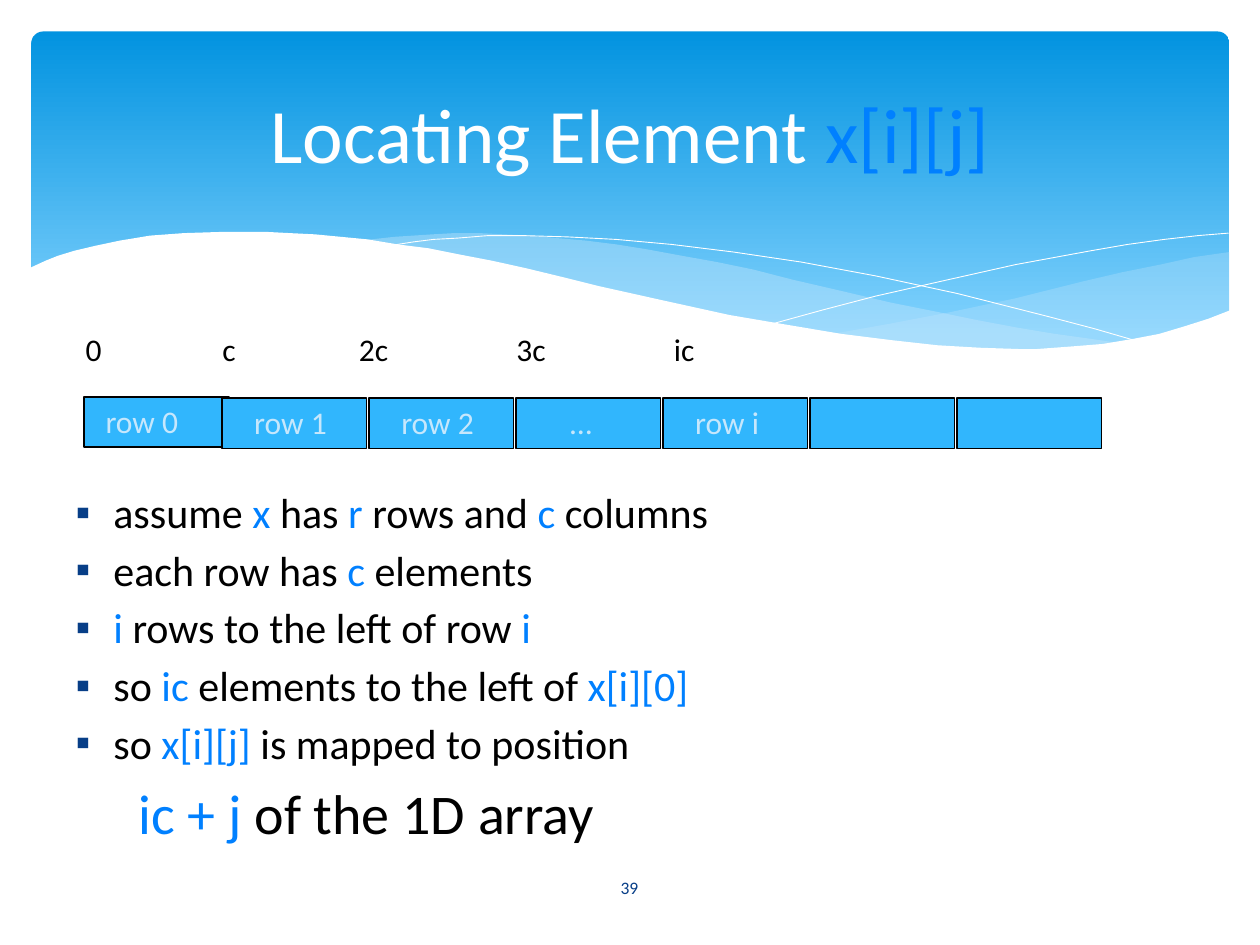
from lxml import etree
from pptx import Presentation
from pptx.dml.color import RGBColor
from pptx.enum.shapes import MSO_SHAPE as SHAPE
from pptx.enum.text import MSO_ANCHOR as ANCHOR, MSO_AUTO_SIZE as AUTO, PP_ALIGN as ALIGN
from pptx.oxml.ns import qn
from pptx.util import Pt

FONT = "Calibri"
BLUE, BLACK, WHITE, PALE, NAVY = "0080FF", "000000", "FFFFFF", "C6E7FC", "073E87"


def color(target, value):
    """Colour a font, line or fill; a fill is made solid first."""
    if hasattr(target, "solid"):
        target.solid()
        target.fore_color.rgb = RGBColor.from_string(value)
    else:
        target.color.rgb = RGBColor.from_string(value)


def add_wave(points, fill=None, alpha=None):
    """Draw points given in hundredths of an inch: filled, or as a thin white line."""
    builder = slide.shapes.build_freeform(*points[0], scale=Pt(0.72))
    builder.add_line_segments(points[1:], close=fill is not None)
    wave = builder.convert_to_shape()
    wave.shadow.inherit = False
    if fill is None:
        wave.fill.background()
        color(wave.line, WHITE)
        wave.line.width = Pt(0.5)
        return
    color(wave.fill, fill)
    wave.line.fill.background()
    if alpha:
        srgb = wave._element.spPr.find(".//" + qn("a:srgbClr"))
        etree.SubElement(srgb, qn("a:alpha"), val=str(alpha * 1000))


prs = Presentation()
prs.slide_width, prs.slide_height = Pt(720), Pt(540)
slide = prs.slides.add_slide(prs.slide_layouts[1])
title, body = slide.placeholders

# Header panel
panel = slide.shapes.add_shape(SHAPE.ROUNDED_RECTANGLE, Pt(18), Pt(18), Pt(684.5), Pt(194.5))
panel.adjustments[0] = 0.034
panel.shadow.inherit = False
panel.line.fill.background()
panel.fill.gradient()
panel.fill.gradient_angle = 270
for stop, position, shade in zip(panel.fill.gradient_stops, (0, 0.9), ("0293E0", "83D3FE")):
    stop.position = position
    color(stop, shade)

# Translucent waves
add_wave([(976, 200), (948, 204), (921, 210), (891, 216), (861, 223), (805, 237), (753, 248),
          (706, 257), (661, 265), (691, 269), (719, 272), (745, 275), (769, 277), (803, 278),
          (835, 277), (863, 275), (889, 272), (913, 267), (935, 262), (949, 257), (963, 252),
          (976, 247)], PALE, 29)
add_wave([(893, 273), (866, 269), (837, 265), (807, 260), (775, 254), (741, 247), (706, 240),
          (668, 231), (629, 222), (598, 214), (569, 208), (541, 203), (514, 198), (489, 194),
          (465, 191), (442, 189), (420, 187), (399, 186), (380, 185), (361, 185), (344, 186),
          (313, 188), (286, 191), (323, 196), (362, 203), (404, 211), (449, 222), (491, 232),
          (530, 240), (566, 248), (601, 255), (634, 261), (665, 266), (695, 270), (722, 274),
          (748, 276), (773, 277), (796, 278), (828, 278), (857, 277), (876, 275)], PALE, 40)

# Thin crossing lines
add_wave([(309, 195), (328, 192), (344, 190), (363, 189), (387, 187), (416, 187), (450, 188),
          (489, 190), (533, 194), (582, 200), (636, 208), (695, 219), (760, 233), (831, 251),
          (869, 261), (907, 272)])
add_wave([(613, 257), (653, 246), (695, 235), (748, 223), (806, 210), (866, 199), (895, 194),
          (924, 190), (951, 187), (975, 185)])

# White wave that closes the header
add_wave([(977, 246), (959, 253), (940, 259), (920, 265), (899, 269), (875, 273), (850, 275),
          (823, 277), (809, 277), (778, 276), (744, 274), (708, 270), (668, 265), (626, 258),
          (579, 250), (529, 239), (475, 227), (447, 220), (418, 213), (391, 207), (365, 202),
          (340, 197), (316, 194), (292, 190), (271, 188), (250, 186), (230, 185), (211, 184),
          (177, 184), (146, 185), (119, 187), (95, 191), (76, 195), (59, 199), (46, 203),
          (36, 207), (23, 213), (23, 329), (977, 329)], WHITE)

# Title and list, moved in front of the header
for holder, box in ((body, (36, 274.3, 658.8, 271.4)), (title, (36, 26.6, 648, 98.6))):
    holder.left, holder.top, holder.width, holder.height = map(Pt, box)
    holder.text_frame.auto_size = AUTO.NONE
    slide.shapes._spTree.append(holder._element)
title.text_frame.vertical_anchor = ANCHOR.MIDDLE
body.text_frame.vertical_anchor = ANCHOR.TOP

# Every second part between bars is blue
bullets = ["assume |x |has |r |rows and |c |columns",
           "each row has |c |elements",
           "|i |rows to the left of row |i",
           "so |ic |elements to the left of |x[i][0]",
           "so| x[i][j] |is mapped to position"]
heading = title.text_frame.paragraphs[0]
heading.alignment = ALIGN.CENTER
lines = [(heading, "Locating Element| x[i][j]", 44, WHITE)]
for number, bullet in enumerate(bullets):
    item = body.text_frame.add_paragraph() if number else body.text_frame.paragraphs[0]
    item.space_before = Pt(4.2)
    props = item._p.get_or_add_pPr()
    props.set("marL", str(Pt(21.6)))
    props.set("indent", str(Pt(-21.6)))
    bullet_color = etree.SubElement(props, qn("a:buClr"))
    etree.SubElement(bullet_color, qn("a:srgbClr"), val=NAVY)
    etree.SubElement(props, qn("a:buChar"), char="▪")
    lines.append((item, bullet, 24, BLACK))

result = body.text_frame.add_paragraph()
result.level = 1
result.space_before = Pt(6)
props = result._p.get_or_add_pPr()
props.set("marL", str(Pt(36)))
props.set("indent", "0")
etree.SubElement(props, qn("a:buNone"))
lines.append((result, "|ic + j |of the 1D array", 32, BLACK))

for paragraph, text, size, base in lines:
    paragraph.font.name, paragraph.font.size = FONT, Pt(size)
    for number, part in enumerate(text.split("|")):
        if part:
            run = paragraph.add_run()
            run.text = part
            color(run.font, BLUE if number % 2 else base)

# Row cells: the first one stands slightly apart from the even grid
labels = []
cells = [("row 0", 5), ("row 1", 11.5), ("row 2", 11.5), ("…", 24), ("row i", 11.5),
         ("", 0), ("", 0)]
for column, (name, inset) in enumerate(cells):
    left, top = (126.7 + 84 * (column - 1), 227.5) if column else (48.2, 226.8)
    cell = slide.shapes.add_shape(SHAPE.RECTANGLE, Pt(left), Pt(top), Pt(82.8), Pt(28.8))
    cell.shadow.inherit = False
    color(cell.fill, "31B6FD")
    color(cell.line, BLACK)
    cell.line.width = Pt(1)
    if name:
        labels.append((name, left + inset, top - 0.7, 77.8, 18, PALE))

# Start positions above the cells, and the page number
for name, left, width in (("0", 41.8, 24), ("c", 120, 24), ("2c", 198, 48),
                          ("3c", 288, 42), ("ic", 378, 54)):
    labels.append((name, left, 185, width, 18, BLACK))
labels.append(("39", 314, 492.5, 91.4, 10, NAVY))

for name, left, top, width, size, shade in labels:
    label = slide.shapes.add_textbox(Pt(left), Pt(top), Pt(width), Pt(28.8))
    label.text_frame.word_wrap = True
    paragraph = label.text_frame.paragraphs[0]
    paragraph.text = name
    paragraph.font.name, paragraph.font.size = FONT, Pt(size)
    color(paragraph.font, shade)
label.text_frame.vertical_anchor = ANCHOR.MIDDLE
paragraph.alignment = ALIGN.CENTER

prs.save("out.pptx")
